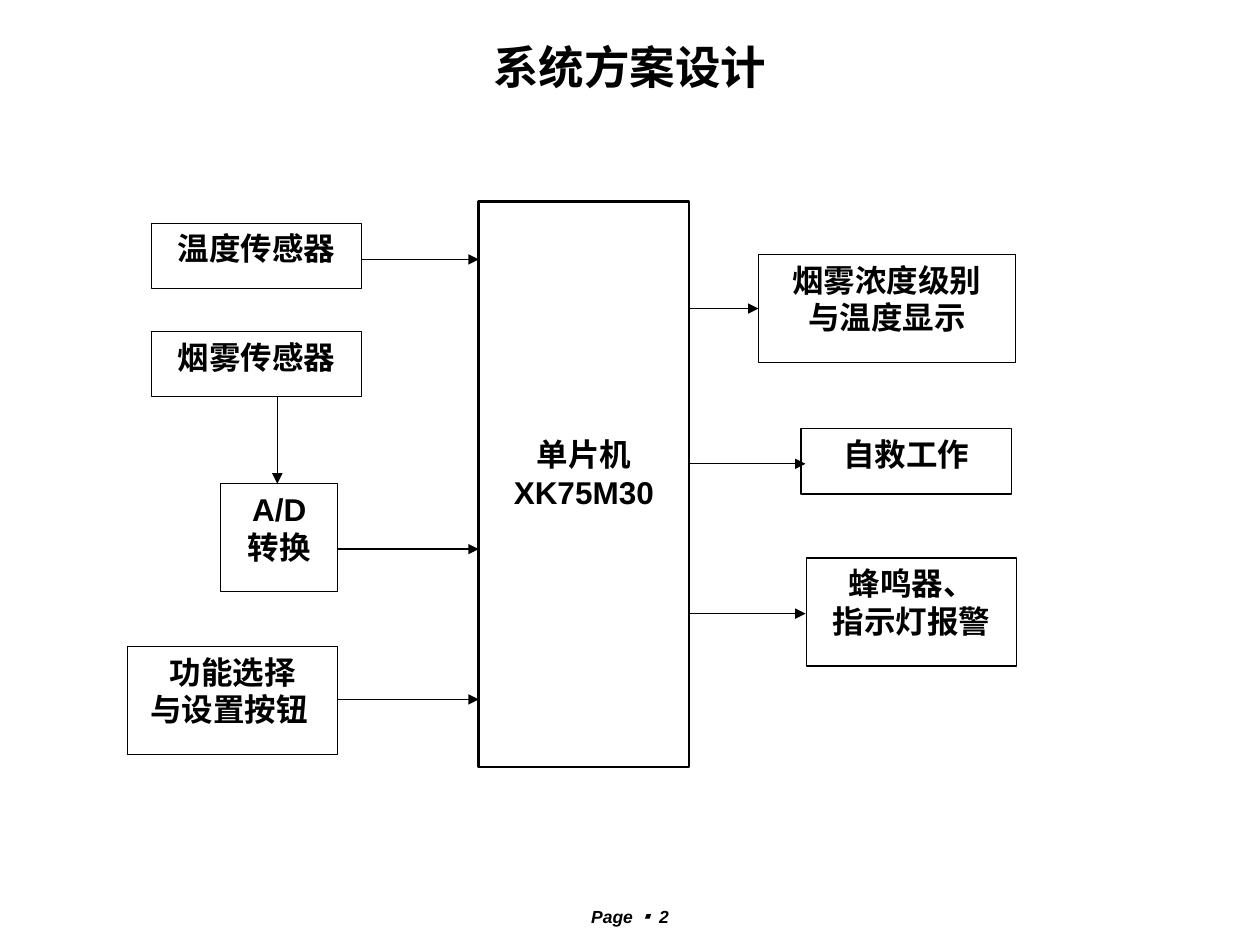
import pptx
import pptx.dml.color
import pptx.enum.shapes
import pptx.enum.text
import pptx.oxml
import pptx.oxml.ns
import pptx.util
from pptx.util import Cm


def color(hex_code):
    return pptx.dml.color.RGBColor.from_string(hex_code)


def write(frame, lines, size, italic=False):
    frame.word_wrap = True
    for index, runs in enumerate(lines):
        paragraph = frame.paragraphs[0] if index == 0 else frame.add_paragraph()
        paragraph.alignment = pptx.enum.text.PP_ALIGN.CENTER
        paragraph.line_spacing = pptx.util.Pt(size * 1.2)
        for text, font_name in runs:
            run = paragraph.add_run()
            run.text = text
            run.font.name = font_name
            run.font.size = pptx.util.Pt(size)
            run.font.bold = True
            run.font.italic = italic
            run.font.color.rgb = color("000000")


deck = pptx.Presentation()
deck.slide_width, deck.slide_height = Cm(25.4), Cm(19.05)
slide = deck.slides.add_slide(deck.slide_layouts[5])

heading = slide.shapes.title
heading.left, heading.top, heading.width, heading.height = Cm(1.3), Cm(0.53), Cm(22.8), Cm(1.6)
heading.text_frame.vertical_anchor = pptx.enum.text.MSO_ANCHOR.MIDDLE
write(heading.text_frame, [[("系统方案设计", "Arial")]], 26)

page = slide.shapes.add_textbox(Cm(10.7), Cm(18.14), Cm(4), Cm(0.56))
write(page.text_frame, [[("Page ", "Arial"), ("▪ ", "Noto Sans CJK JP"), ("2", "Arial")]], 10, italic=True)

block_width, low, tall = 4.24, 1.32, 2.18
mcu_left, mcu_top, mcu_height = 9.65, 4.06, 11.4
mcu_right = mcu_left + block_width

blocks = [
    (3.05, 4.5, block_width, low, 0.75, ["温度传感器"]),
    (3.05, 6.68, block_width, low, 0.75, ["烟雾传感器"]),
    (4.45, 9.75, 2.36, tall, 0.75, ["A/D", "转换"]),
    (2.57, 13.03, block_width, tall, 0.75, ["功能选择", "与设置按钮 "]),
    (mcu_left, mcu_top, block_width, mcu_height, 1.5, []),
    (15.29, 5.13, 5.18, tall, 0.75, ["烟雾浓度级别", "与温度显示"]),
    (16.15, 8.64, block_width, low, 0.75, ["自救工作"]),
    (16.26, 11.25, block_width, tall, 0.75, ["蜂鸣器、", "指示灯报警"]),
]
for left, top, width, height, line_width, lines in blocks:
    block = slide.shapes.add_shape(
        pptx.enum.shapes.MSO_SHAPE.RECTANGLE, Cm(left), Cm(top), Cm(width), Cm(height))
    block.shadow.inherit = False
    block.fill.solid()
    block.fill.fore_color.rgb = color("FFFFFF")
    block.line.color.rgb = color("000000")
    block.line.width = pptx.util.Pt(line_width)
    block.text_frame.vertical_anchor = pptx.enum.text.MSO_ANCHOR.TOP
    write(block.text_frame, [[(line, "Arial")] for line in lines], 18)

mcu_label = slide.shapes.add_textbox(Cm(mcu_left), Cm(8.64), Cm(block_width), Cm(tall))
write(mcu_label.text_frame, [[("单片机", "Arial")], [("XK75M30", "Arial")]], 18)

signals = [
    (7.29, 5.23, mcu_left, 5.23),
    (5.59, 8, 5.59, 9.75),
    (6.81, 11.07, mcu_left, 11.07),
    (6.81, 14.1, mcu_left, 14.1),
    (mcu_right, 6.22, 15.29, 6.22),
    (mcu_right, 9.35, 16.24, 9.35),
    (mcu_right, 12.37, 16.24, 12.37),
]
for start_x, start_y, end_x, end_y in signals:
    signal = slide.shapes.add_connector(
        pptx.enum.shapes.MSO_CONNECTOR.STRAIGHT, Cm(start_x), Cm(start_y), Cm(end_x), Cm(end_y))
    signal.line.color.rgb = color("000000")
    signal.line.width = pptx.util.Pt(0.75)
    arrowhead = pptx.oxml.parse_xml(f'<a:tailEnd {pptx.oxml.ns.nsdecls("a")} type="triangle"/>')
    signal.line._get_or_add_ln().append(arrowhead)
    no_shadow = pptx.oxml.parse_xml(f'<a:effectLst {pptx.oxml.ns.nsdecls("a")}/>')
    signal._element.spPr.append(no_shadow)

deck.save("out.pptx")
